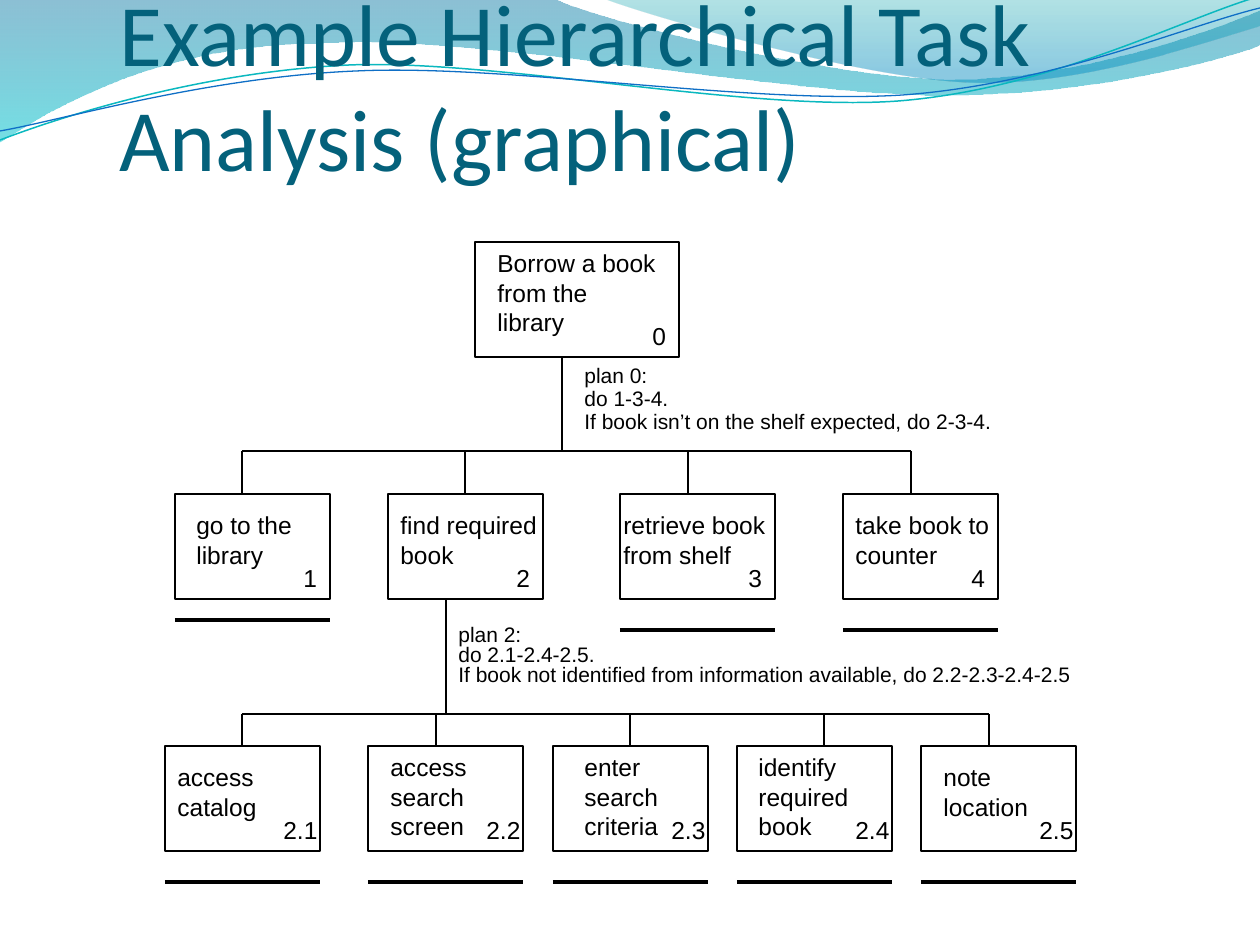
"""Build the hierarchical task analysis slide for borrowing a library book."""
from dataclasses import dataclass

from lxml.etree import SubElement
from pptx import Presentation
from pptx.dml.color import RGBColor
from pptx.enum.shapes import MSO_CONNECTOR, MSO_SHAPE
from pptx.enum.text import MSO_ANCHOR
from pptx.oxml.ns import qn
from pptx.util import Emu, Inches, Pt

SCALE = 914400 / 126


@dataclass(frozen=True)
class Theme:
    ink: str = "000000"
    title: str = "04617B"
    back_wave: tuple = (("0074A1", 0, 45), ("00C6CF", 1, 55))
    front_wave: tuple = (("00A1A9", 0, 30), ("008BBF", 0.8, 45))
    teal: str = "0AB8BF"
    blue: str = "0F6FC6"
    title_font: str = "Calibri"
    body_font: str = "Arial"
    title_size: int = 50
    label_size: int = 14
    plan_size: int = 12
    thin: float = 1
    thick: float = 2.25


THEME = Theme()


def px(n):
    return Emu(round(n * SCALE))


def write(tf, text, *, size=THEME.label_size, font=THEME.body_font,
          color=THEME.ink, spacing=None, before=0):
    for i, line in enumerate(text.split("\n")):
        p = tf.add_paragraph() if i else tf.paragraphs[0]
        if spacing:
            p.line_spacing = spacing
        if i and before:
            p.space_before = Pt(before)
        r = p.add_run()
        r.text = line
        r.font.size, r.font.name = Pt(size), font
        r.font.color.rgb = RGBColor.from_string(color)


class Deck:
    def __init__(self, slide, theme):
        self.s, self.theme = slide, theme

    def outline(self, sp, color, width):
        sp.line.color.rgb = RGBColor.from_string(color)
        sp.line.width = Pt(width)

    def curve(self, start, segments, closed):
        points = [(px(seg[i]), px(seg[i + 1]))
                  for seg in segments for i in range(0, len(seg), 2)]
        builder = self.s.shapes.build_freeform(px(start[0]), px(start[1]), scale=1.0)
        builder.add_line_segments(points, close=closed)
        sp = builder.convert_to_shape()
        sp.shadow.inherit = False
        steps = iter(list(sp._element.spPr.iter(qn("a:lnTo"))))
        for seg in segments:
            step = next(steps)
            if len(seg) == 6:
                step.tag = qn("a:cubicBezTo")
                for control in (next(steps), next(steps)):
                    step.append(control[0])
                    control.getparent().remove(control)
        return sp

    def wave(self, start, segments, stops):
        sp = self.curve(start, segments, True)
        sp.line.fill.background()
        sp.fill.gradient()
        sp.fill.gradient_angle = 270
        for stop, (color, position, _) in zip(sp.fill.gradient_stops, stops):
            stop.color.rgb = RGBColor.from_string(color)
            stop.position = position
        for clr, (_, _, alpha) in zip(sp._element.spPr.iter(qn("a:srgbClr")), stops):
            SubElement(clr, qn("a:alpha"), val=str(alpha * 1000))

    def strand(self, start, segments, color, width):
        sp = self.curve(start, segments, False)
        sp.fill.background()
        self.outline(sp, color, width)

    def line(self, x1, y1, x2, y2, width=None):
        sp = self.s.shapes.add_connector(
            MSO_CONNECTOR.STRAIGHT, px(x1), px(y1), px(x2), px(y2))
        self.outline(sp, self.theme.ink, width or self.theme.thin)
        SubElement(sp._element.spPr, qn("a:effectLst"))

    def box(self, x, y, w, h):
        sp = self.s.shapes.add_shape(MSO_SHAPE.RECTANGLE, px(x), px(y), px(w), px(h))
        sp.shadow.inherit = False
        sp.fill.background()
        self.outline(sp, self.theme.ink, self.theme.thin)

    def text(self, x, y, w, h, text, anchor=MSO_ANCHOR.TOP, **style):
        tf = self.s.shapes.add_textbox(px(x), px(y), px(w), px(h)).text_frame
        tf.word_wrap = True
        tf.vertical_anchor = anchor
        write(tf, text, **style)

    def branch(self, stem, top, rail, bottom, drops):
        self.line(stem, top, stem, rail)
        self.line(drops[0], rail, drops[-1], rail)
        for x in drops:
            self.line(x, rail, x, bottom)

    def tasks(self, top, number_dx, number_width, rows):
        for number, x, label, dx, dy, width, height, bar in rows:
            self.box(x, top, 155, 105)
            self.text(x + dx, top + dy, width, height, label)
            self.text(x + number_dx, top + 63, number_width, 39, number)
            if bar:
                self.line(x, bar, x + 155, bar, self.theme.thick)


def main():
    prs = Presentation()
    prs.slide_width, prs.slide_height = Inches(10), Inches(7.5)
    d = Deck(prs.slides.add_slide(prs.slide_layouts[6]), THEME)

    d.wave((0, -1), [(554, -1), (600, 21, 837, 79, 955, 79),
                     (1075, 79, 1207, 33, 1260, 11), (1261, 45),
                     (1239, 55, 1096, 96, 940, 95), (784, 95, 481, 35, 324, 43),
                     (161, 44, 58, 105, -1, 142)], THEME.back_wave)
    d.wave((604, -1), [(641, 14, 859, 78, 969, 82), (1079, 87, 1211, 40, 1260, 26),
                       (1260, 0)], THEME.front_wave)
    d.strand((0, 140), [(60, 117, 199, 72, 349, 65), (497, 59, 747, 112, 898, 101),
                        (1050, 89, 1182, 19, 1257, -3)], THEME.teal, 0.85)
    d.strand((0, 131), [(59, 121, 207, 77, 357, 71), (508, 64, 752, 105, 903, 95),
                        (1053, 84, 1186, 26, 1260, 8)], THEME.blue, 0.75)

    d.text(107, 31, 1051, 164, "Example Hierarchical Task Analysis (graphical)",
           MSO_ANCHOR.BOTTOM, size=THEME.title_size, font=THEME.title_font,
           color=THEME.title)

    d.box(475, 242, 204, 115)
    d.text(485, 242, 184, 105, "Borrow a book from the library")
    d.text(640, 315, 54, 39, "0")
    d.text(572, 367, 450, 72,
           "plan 0:\ndo 1-3-4.\nIf book isn’t on the shelf expected, do 2-3-4.",
           size=THEME.plan_size, spacing=0.5, before=6)
    d.branch(562, 357, 451, 494, range(242, 912, 223))
    d.tasks(494, 116, 54, [
        ("1", 175, "go to the library", 9, 10, 138, 72, 620),
        ("2", 388, "find required book", 0, 10, 186, 72, None),
        ("3", 620, "retrieve book from shelf", -9, 10, 176, 72, 630),
        ("4", 843, "take book to counter", 0, 10, 168, 74, 630)])

    d.text(446, 620, 655, 74,
           "plan 2:\ndo 2.1-2.4-2.5.\n"
           "If book not identified from information available, do 2.2-2.3-2.4-2.5",
           size=THEME.plan_size, spacing=0.8)
    d.branch(446, 599, 714, 746, [242, 436, 630, 824, 989])
    d.tasks(746, 106, 76, [
        ("2.1", 165, "access catalog", 0, 10, 175, 74, 882),
        ("2.2", 368, "access search screen", 10, 0, 126, 102, 882),
        ("2.3", 553, "enter search criteria", 19, 0, 155, 105, 882),
        ("2.4", 737, "identify required book", 9, 0, 158, 105, 882),
        ("2.5", 921, "note location", 10, 10, 155, 74, 882)])
    prs.save("out.pptx")


if __name__ == "__main__":
    main()
